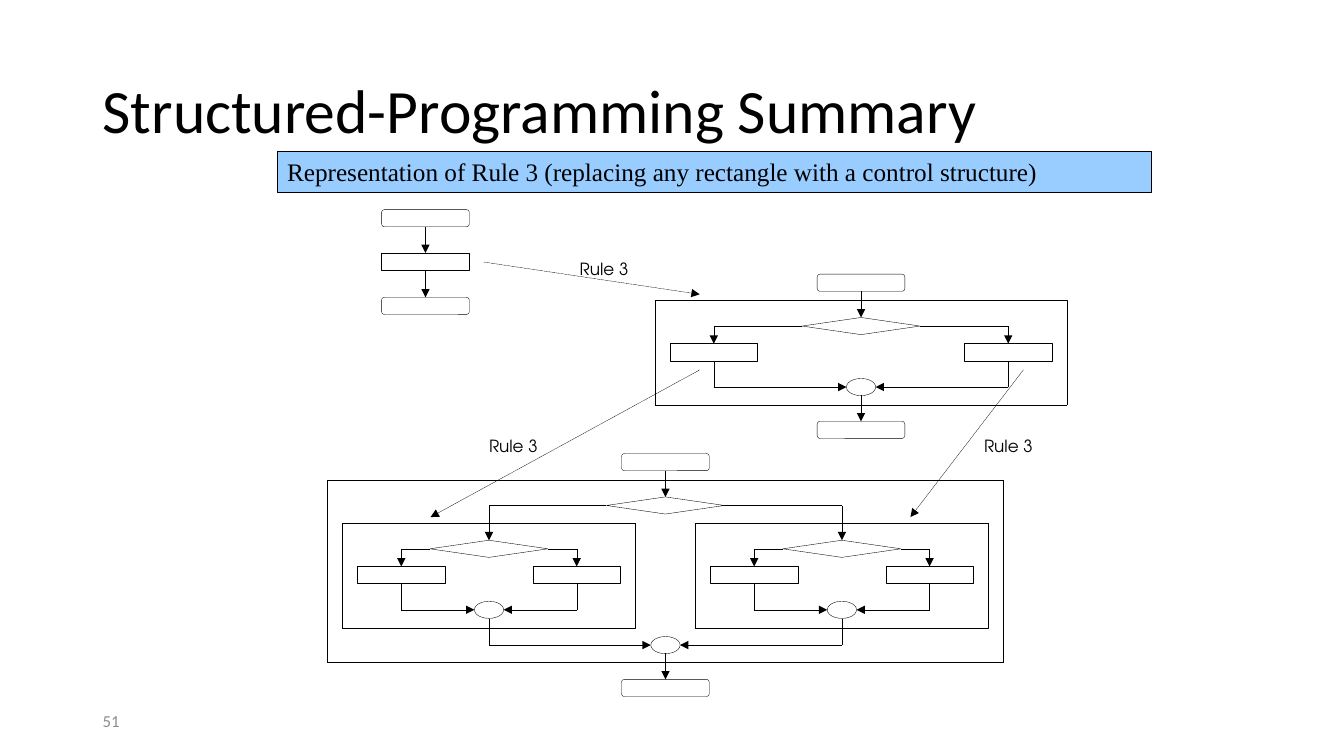
"""Build the structured-programming slide on Rule 3."""
from dataclasses import dataclass

import pptx
import pptx.dml.color
import pptx.enum.dml
import pptx.enum.shapes
import pptx.enum.text
import pptx.oxml
import pptx.oxml.ns
import pptx.util

Inches = pptx.util.Inches
SHAPE = pptx.enum.shapes.MSO_SHAPE
ANCHOR = pptx.enum.text.MSO_ANCHOR

BOX_W, BOX_H = 0.87, 0.17
DIAMOND_W, JOIN_W = 1.17, 0.29
GAP = 0.26


@dataclass(frozen=True)
class Theme:
    """Colours, fonts and sizes of the slide."""
    ink: str = "000000"
    muted: str = "8C8C8C"
    paper: str = "FFFFFF"
    banner: str = "99CCFF"
    heading_font: str = "Calibri"
    banner_font: str = "Times New Roman"
    rule_font: str = "TeX Gyre Adventor"
    title_size: float = 44
    banner_size: float = 18
    small_size: float = 12
    thin: float = 0.25
    border: float = 0.75


THEME = Theme()


def rgb(value):
    """Return a colour object for a hex string."""
    return pptx.dml.color.RGBColor.from_string(value)


def set_line(line, width=THEME.thin, dotted=False):
    """Apply the ink colour, a width and an optional dotted dash."""
    line.color.rgb = rgb(THEME.ink)
    line.width = pptx.util.Pt(width)
    if dotted:
        line.dash_style = pptx.enum.dml.MSO_LINE.ROUND_DOT


def write(sp, text, font, size, color=THEME.ink, anchor=ANCHOR.TOP):
    """Put one left-aligned styled paragraph into a shape and return it."""
    tf = sp.text_frame
    tf.word_wrap = True
    tf.vertical_anchor = anchor
    p = tf.paragraphs[0]
    p.text = text
    p.alignment = pptx.enum.text.PP_ALIGN.LEFT
    r = p.runs[0]
    r.font.name = font
    r.font.size = pptx.util.Pt(size)
    r.font.color.rgb = rgb(color)
    return p


def add_text(s, box, *style, **options):
    """Add a text box and return its paragraph."""
    sp = s.shapes.add_textbox(*map(Inches, box))
    return write(sp, *style, **options)


def add_rule(s, x, y):
    """Add a Rule 3 label without insets."""
    sp = s.shapes.add_textbox(*map(Inches, (x, y, 0.75, 0.17)))
    tf = sp.text_frame
    tf.margin_left = tf.margin_right = tf.margin_top = tf.margin_bottom = 0
    write(sp, "Rule 3", THEME.rule_font, THEME.small_size)


def add_shape(s, kind, box, fill=None, width=THEME.thin, dotted=False):
    """Add an outlined preset shape."""
    sp = s.shapes.add_shape(kind, *map(Inches, box))
    sp.shadow.inherit = False
    if fill:
        sp.fill.solid()
        sp.fill.fore_color.rgb = rgb(fill)
    else:
        sp.fill.background()
    set_line(sp.line, width, dotted)
    return sp


def add_node(s, kind, cx, top, width=BOX_W, fill=None):
    """Add a flowchart symbol centred on cx."""
    add_shape(s, kind, (cx - width / 2, top, width, BOX_H), fill)


def add_line(s, x1, y1, x2, y2, arrow=False, dotted=False):
    """Add a straight line, with an arrowhead at its end if asked."""
    straight = pptx.enum.shapes.MSO_CONNECTOR.STRAIGHT
    cn = s.shapes.add_connector(straight, *map(Inches, (x1, y1, x2, y2)))
    set_line(cn.line, dotted=dotted)
    if arrow:
        tail = pptx.oxml.parse_xml(
            f'<a:tailEnd {pptx.oxml.ns.nsdecls("a")} type="triangle"/>')
        cn.line._get_or_add_ln().append(tail)
    effects = pptx.oxml.parse_xml(
        f'<a:effectLst {pptx.oxml.ns.nsdecls("a")}/>')
    cn._element.spPr.append(effects)


def add_split(s, cx, top, reach, bottom):
    """Add a decision whose two branches drop to bottom."""
    add_node(s, SHAPE.DIAMOND, cx, top, DIAMOND_W, THEME.paper)
    y = top + BOX_H / 2
    for side in (-1, 1):
        x = cx + side * reach
        add_line(s, cx + side * DIAMOND_W / 2, y, x, y)
        add_line(s, x, y, x, bottom, arrow=True)


def add_merge(s, cx, top, reach):
    """Lead two branches from top into a joining circle."""
    y = top + GAP
    for side in (-1, 1):
        x = cx + side * reach
        add_line(s, x, top, x, y)
        add_line(s, x, y, cx + side * JOIN_W / 2, y, arrow=True)
    add_node(s, SHAPE.OVAL, cx, y - BOX_H / 2, JOIN_W)


def add_selection(s, cx, top, reach):
    """Add a decision with one process box on each branch."""
    box_top = top + GAP
    add_split(s, cx, top, reach, box_top)
    for x in (cx - reach, cx + reach):
        add_node(s, SHAPE.RECTANGLE, x, box_top)
    add_merge(s, cx, box_top + BOX_H, reach)


def add_terminals(s, cx, start, end):
    """Add the start and end symbols with their arrows."""
    for top, arrow_top in ((start, start + BOX_H), (end, end - GAP)):
        add_node(s, SHAPE.ROUNDED_RECTANGLE, cx, top)
        add_line(s, cx, arrow_top, cx, arrow_top + GAP, arrow=True)


def add_frame(s, *box):
    """Add the dotted rectangle around a control structure."""
    add_shape(s, SHAPE.RECTANGLE, box, dotted=True)


def add_nested(s, cx, top, reach):
    """Add a decision whose branches are framed selections."""
    inner = top + 0.43
    add_split(s, cx, top, reach, inner)
    for x in (cx - reach, cx + reach):
        add_selection(s, x, inner, 0.87)
        add_frame(s, x - 1.46, inner - BOX_H, 2.91, 1.04)
    add_merge(s, cx, top + 1.21, reach)


def main():
    """Compose and save the slide."""
    prs = pptx.Presentation()
    prs.slide_width, prs.slide_height = Inches(13.33), Inches(7.5)
    s = prs.slides.add_slide(prs.slide_layouts[6])
    add_text(s, (0.92, 6.95, 3, 0.4), "51", THEME.heading_font,
             THEME.small_size, color=THEME.muted, anchor=ANCHOR.MIDDLE)
    title = add_text(s, (0.92, 0.4, 11.5, 1.45), "Structured-Programming Summary",
                     THEME.heading_font, THEME.title_size, anchor=ANCHOR.MIDDLE)
    title.line_spacing = 0.9

    add_terminals(s, 4.22, 2.08, 2.95)
    add_node(s, SHAPE.RECTANGLE, 4.22, 2.51)

    add_terminals(s, 8.54, 2.72, 4.18)
    add_selection(s, 8.54, 3.15, 1.46)
    add_frame(s, 6.5, 2.98, 4.08, 1.04)

    add_terminals(s, 6.6, 4.5, 6.74)
    add_nested(s, 6.6, 4.93, 1.75)
    add_frame(s, 3.25, 4.76, 6.7, 1.81)

    for ends in ((4.8, 2.6, 6.94, 2.92), (6.94, 3.67, 4.27, 5.13),
                 (10.15, 3.67, 9.03, 5.13)):
        add_line(s, *ends, arrow=True, dotted=True)
    for x, y in ((5.75, 2.57), (9.76, 4.32), (4.85, 4.32)):
        add_rule(s, x, y)

    banner = add_shape(s, SHAPE.RECTANGLE, (2.75, 1.5, 8.67, 0.41),
                       THEME.banner, THEME.border)
    write(banner, "Representation of Rule 3 (replacing any rectangle with a control structure)",
          THEME.banner_font, THEME.banner_size)
    prs.save("out.pptx")


if __name__ == "__main__":
    main()
